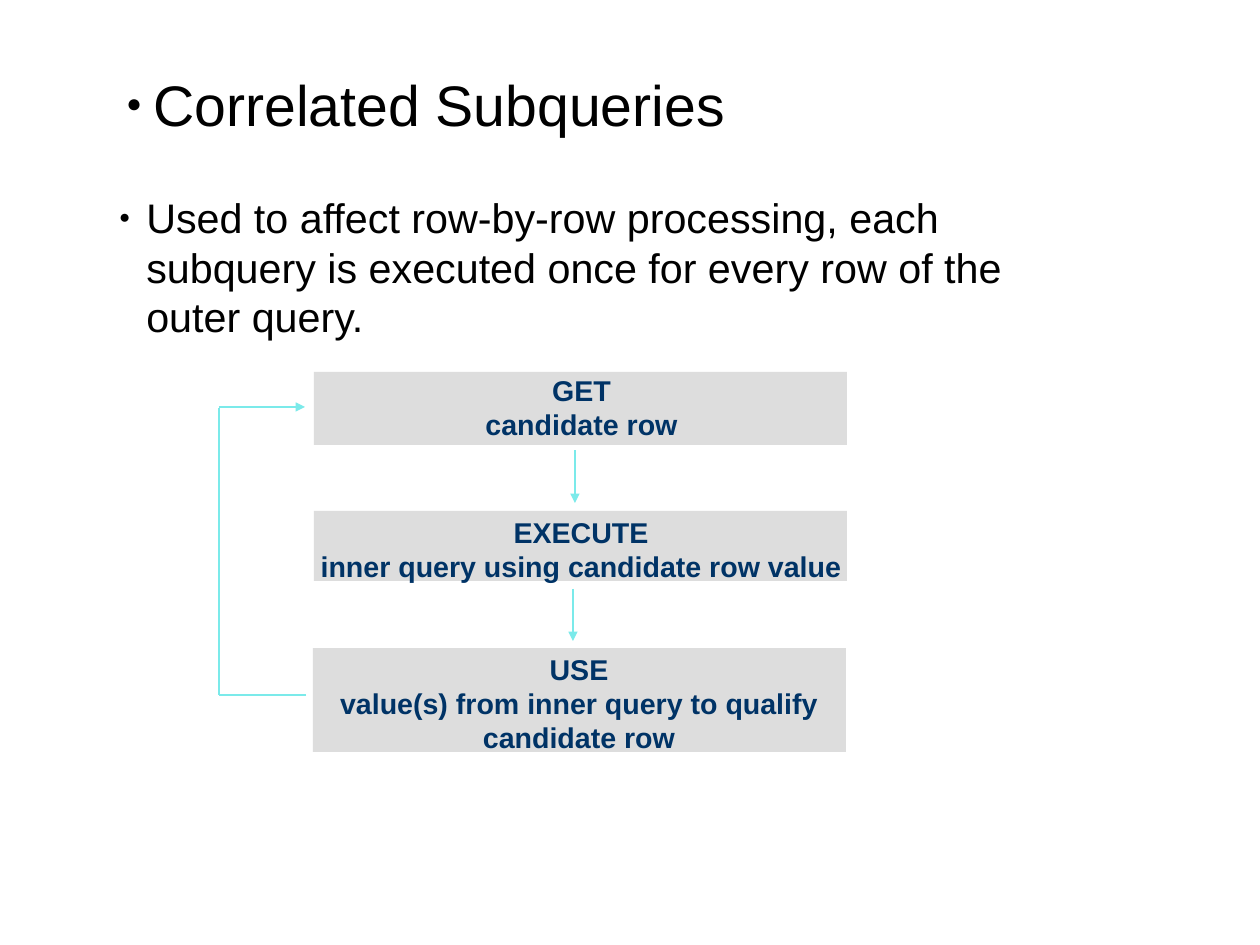
import dataclasses

import lxml.etree
import pptx
import pptx.dml.color
import pptx.enum.shapes
import pptx.enum.text
import pptx.oxml.ns
import pptx.util

SCALE = 8000
FONT = "Arial"
BLACK, NAVY, GREY, AQUA = "000000", "003366", "DDDDDD", "7BEAEA"
INDENT = 27


@dataclasses.dataclass
class Box:
    left: int
    top: int
    width: int
    height: int


@dataclasses.dataclass
class Point:
    text: str
    size: int
    box: Box


@dataclasses.dataclass
class Step:
    lines: list[str]
    panel: Box
    label: Box
    wrap: bool = True


@dataclasses.dataclass
class Link:
    start: tuple[int, int]
    end: tuple[int, int]
    head: str = "triangle"


POINTS = [
    Point("Correlated Subqueries", 36, Box(115, 64, 912, 110)),
    Point(
        "Used to affect row-by-row processing, each subquery is executed "
        "once for every row of the outer query.",
        26,
        Box(108, 187, 924, 163),
    ),
]

STEPS = [
    Step(["GET", "candidate row"], Box(314, 372, 533, 73), Box(314, 367, 535, 80)),
    Step(
        ["EXECUTE", "inner query using candidate row value"],
        Box(314, 511, 533, 70),
        Box(309, 509, 544, 80),
        wrap=False,
    ),
    Step(
        ["USE", "value(s) from inner query to qualify candidate row"],
        Box(313, 648, 533, 104),
        Box(311, 646, 536, 114),
    ),
]

LINKS = [
    Link((575, 450), (575, 503)),
    Link((573, 589), (573, 641)),
    Link((306, 695), (219, 695), "none"),
    Link((219, 695), (219, 408), "none"),
    Link((219, 407), (305, 407)),
]


def px(count: int) -> pptx.util.Emu:
    return pptx.util.Emu(count * SCALE)


def place(box: Box) -> tuple[pptx.util.Emu, ...]:
    return tuple(px(side) for side in dataclasses.astuple(box))


def color(code: str) -> pptx.dml.color.RGBColor:
    return pptx.dml.color.RGBColor.from_string(code)


def add_node(parent, tag: str, **attrs: str) -> None:
    lxml.etree.SubElement(parent, pptx.oxml.ns.qn(tag), attrs)


def add_text(slide, box: Box, lines: list[str], size: int, ink: str,
             bold: bool = False, wrap: bool = True) -> list:
    frame = slide.shapes.add_textbox(*place(box)).text_frame
    frame.word_wrap = wrap
    frame.vertical_anchor = pptx.enum.text.MSO_ANCHOR.TOP
    paras = [frame.paragraphs[0]]
    paras += [frame.add_paragraph() for _ in lines[1:]]
    for para, line in zip(paras, lines):
        run = para.add_run()
        run.text = line
        run.font.name = FONT
        run.font.size = pptx.util.Pt(size)
        run.font.bold = bold
        run.font.color.rgb = color(ink)
    return paras


def add_point(slide, point: Point) -> None:
    for para in add_text(slide, point.box, [point.text], point.size, BLACK):
        props = para._p.get_or_add_pPr()
        props.set("marL", str(px(INDENT)))
        props.set("indent", str(px(-INDENT)))
        add_node(props, "a:buSzPct", val="45000")
        add_node(props, "a:buFont", typeface=FONT)
        add_node(props, "a:buChar", char="●")


def add_panel(slide, box: Box) -> None:
    kind = pptx.enum.shapes.MSO_SHAPE.RECTANGLE
    panel = slide.shapes.add_shape(kind, *place(box))
    panel.shadow.inherit = False
    panel.fill.solid()
    panel.fill.fore_color.rgb = color(GREY)
    panel.line.fill.background()


def add_label(slide, step: Step) -> None:
    for para in add_text(slide, step.label, step.lines, 18, NAVY, True, step.wrap):
        para.alignment = pptx.enum.text.PP_ALIGN.CENTER


def add_link(slide, link: Link) -> None:
    kind = pptx.enum.shapes.MSO_CONNECTOR.STRAIGHT
    ends = [px(side) for side in link.start + link.end]
    wire = slide.shapes.add_connector(kind, *ends)
    wire.line.color.rgb = color(AQUA)
    wire.line.width = pptx.util.Pt(0.75)
    add_node(wire.line._get_or_add_ln(), "a:tailEnd", type=link.head)
    add_node(wire._element.spPr, "a:effectLst")
    wire._element.remove(wire._element.find(pptx.oxml.ns.qn("p:style")))


def main() -> None:
    deck = pptx.Presentation()
    deck.slide_width, deck.slide_height = px(1260), px(945)
    slide = deck.slides.add_slide(deck.slide_layouts[6])
    for point in POINTS:
        add_point(slide, point)
    for spot in (1, 2, 0):
        add_panel(slide, STEPS[spot].panel)
    for step in STEPS:
        add_label(slide, step)
    for link in LINKS:
        add_link(slide, link)
    deck.save("out.pptx")


if __name__ == "__main__":
    main()
